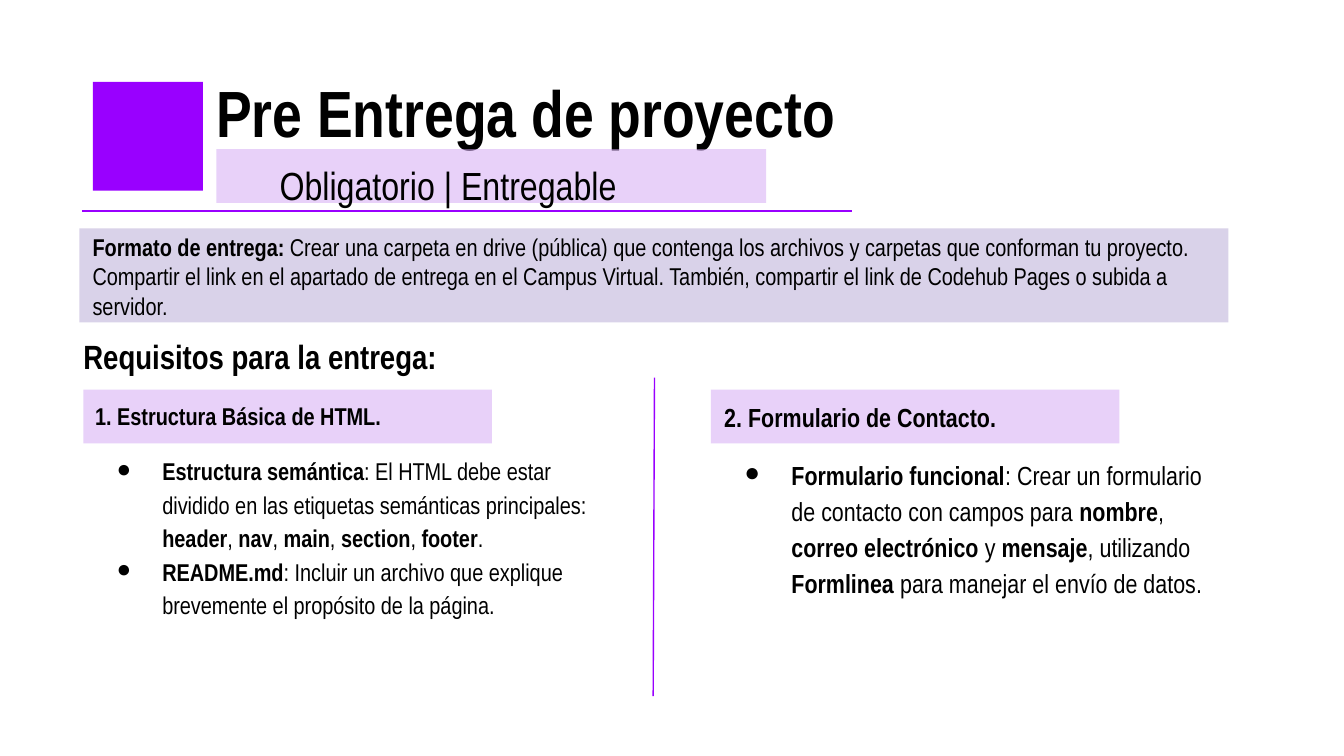
import pptx
import pptx.dml.color
import pptx.enum.shapes
import pptx.enum.text
import pptx.oxml.ns
import pptx.util
from lxml import etree

Inches = pptx.util.Inches
qn = pptx.oxml.ns.qn

COLORS = {"violet": "9900FF", "lilac": "D2A6F4", "lavender": "D9D2E9", "ink": "000000"}
FONT = "Arial Narrow"
BAND_OPACITY = 51

TITLE = ["*Pre Entrega de proyecto*"]
SUBTITLE = ["Obligatorio | Entregable"]
HEADING = ["*Requisitos para la entrega:*"]
DELIVERY = [
    "*Formato de entrega:* Crear una carpeta en drive (pública) que contenga los archivos "
    "y carpetas que conforman tu proyecto.",
    "Compartir el link en el apartado de entrega en el Campus Virtual. También, compartir "
    "el link de Codehub Pages o subida a servidor.",
]
REQUIREMENTS = [
    {
        "band_left": 0.62, "area": (0.61, 2.85, 4.04, 2.72), "size": 13, "hanging": 0.34,
        "heading": "*1. Estructura Básica de HTML.*",
        "items": [
            "*Estructura semántica*: El HTML debe estar dividido en las etiquetas semánticas "
            "principales: *header*, *nav*, *main*, *section*, *footer*.",
            "*README.md*: Incluir un archivo que explique brevemente el propósito de la página.",
        ],
    },
    {
        "band_left": 5.29, "area": (5.29, 2.85, 3.89, 2.19), "size": 14, "hanging": 0.35,
        "heading": "*2. Formulario de Contacto.*",
        "items": [
            "*Formulario funcional*: Crear un formulario de contacto con campos para *nombre*, "
            "*correo electrónico* y *mensaje*, utilizando *Formlinea* para manejar el envío "
            "de datos.",
        ],
    },
]


def rgb(color):
    return pptx.dml.color.RGBColor.from_string(COLORS[color])


def add_block(slide, area, color, opacity=None):
    block = slide.shapes.add_shape(
        pptx.enum.shapes.MSO_SHAPE.RECTANGLE, *map(Inches, area))
    block.shadow.inherit = False
    block.fill.solid()
    block.fill.fore_color.rgb = rgb(color)
    block.line.fill.background()
    if opacity:
        tint = block._element.spPr.find(qn("a:solidFill"))[0]
        etree.SubElement(tint, qn("a:alpha"), val=str(opacity * 1000))


def add_rule(slide, start, end):
    rule = slide.shapes.add_connector(
        pptx.enum.shapes.MSO_CONNECTOR.STRAIGHT, *map(Inches, start + end))
    rule.line.color.rgb = rgb("violet")
    rule.line.width = pptx.util.Pt(0.75)
    etree.SubElement(rule._element.spPr, qn("a:effectLst"))


def add_bullet(paragraph, hanging):
    properties = paragraph._p.get_or_add_pPr()
    properties.set("marL", str(Inches(0.5)))
    properties.set("indent", str(-Inches(hanging)))
    bullet_color = etree.SubElement(properties, qn("a:buClr"))
    etree.SubElement(bullet_color, qn("a:srgbClr"), val=COLORS["ink"])
    etree.SubElement(properties, qn("a:buFont"), typeface=FONT)
    etree.SubElement(properties, qn("a:buChar"), char="●")


def add_text(slide, area, lines, size, inset=0.1, spacing=None, hanging=None):
    frame = slide.shapes.add_textbox(*map(Inches, area)).text_frame
    frame.word_wrap = True
    frame.vertical_anchor = pptx.enum.text.MSO_ANCHOR.TOP
    for side in ("left", "top", "right", "bottom"):
        setattr(frame, f"margin_{side}", Inches(inset))
    for index, line in enumerate(lines):
        paragraph = frame.add_paragraph() if index else frame.paragraphs[0]
        if spacing:
            paragraph.line_spacing = spacing
        if hanging and index:
            if index == 1:
                paragraph.space_before = pptx.util.Pt(12)
            add_bullet(paragraph, hanging)
        for part, words in enumerate(line.split("*")):
            if not words:
                continue
            run = paragraph.add_run()
            run.text = words
            run.font.color.rgb = rgb("ink")
            style = {"name": FONT, "size": pptx.util.Pt(size), "bold": part % 2 == 1}
            for name, value in style.items():
                setattr(run.font, name, value)


deck = pptx.Presentation()
deck.slide_width = Inches(10)
deck.slide_height = deck.slide_width * 9 // 16
slide = deck.slides.add_slide(deck.slide_layouts[6])

for requirement in REQUIREMENTS:
    add_block(slide, (requirement["band_left"], 2.9, 3.04, 0.4), "lilac", BAND_OPACITY)
add_text(slide, (1.51, 0.44, 7.67, 0.81), TITLE, 35)
add_rule(slide, (0.61, 1.57), (6.34, 1.57))
for requirement in REQUIREMENTS:
    add_text(slide, requirement["area"], [requirement["heading"], *requirement["items"]],
             requirement["size"], spacing=1.15, hanging=requirement["hanging"])
add_block(slide, (0.69, 0.61, 0.82, 0.81), "violet")
add_block(slide, (1.61, 1.11, 4.09, 0.4), "lilac", BAND_OPACITY)
add_rule(slide, (4.87, 2.81), (4.86, 5.18))
add_text(slide, (2.08, 1.13, 3.19, 0.78), SUBTITLE, 21, inset=0, spacing=1.2)
add_text(slide, (0.62, 2.44, 4.02, 0.3), HEADING, 18, inset=0, spacing=1.2)
add_block(slide, (0.59, 1.7, 8.55, 0.7), "lavender")
add_text(slide, (0.59, 1.63, 8.55, 0.86), DELIVERY, 13)

deck.save("out.pptx")
